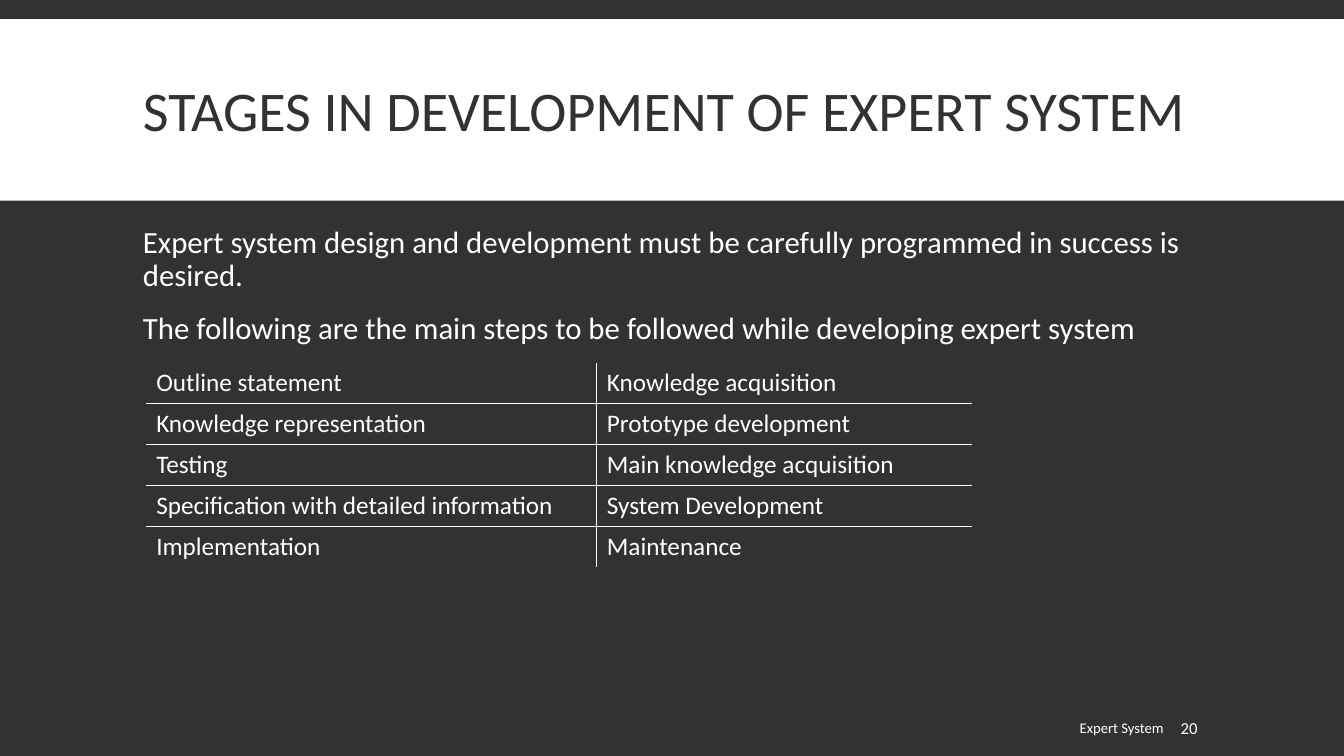
from lxml import etree
from pptx import Presentation
from pptx import util as u
from pptx.dml.color import RGBColor
from pptx.enum import shapes, text
from pptx.oxml.ns import qn

PX = 9144  # one hundredth of an inch
COLOURS = {"dark": "323232", "light": "FFFFFF"}
STAGES = [
    ("Outline statement", "Knowledge acquisition"),
    ("Knowledge representation", "Prototype development"),
    ("Testing", "Main knowledge acquisition"),
    ("Specification with detailed information", "System Development"),
    ("Implementation", "Maintenance"),
]


def px(*lengths):
    return [u.Emu(length * PX) for length in lengths]


def colour(name):
    return RGBColor.from_string(COLOURS[name])


def write(frame, *lines, size, ink="light", align=text.PP_ALIGN.LEFT,
          spacing=1.0, before=0, after=0):
    """Fill a text frame with one paragraph per line."""
    for index, line in enumerate(lines):
        para = frame.paragraphs[0] if index == 0 else frame.add_paragraph()
        para.alignment = align
        para.line_spacing = spacing
        para.space_before = u.Pt(before if index else 0)
        para.space_after = u.Pt(after)
        span = para.add_run()
        span.text = line
        span.font.name = "Calibri"
        span.font.size = u.Pt(size)
        span.font.color.rgb = colour(ink)


def set_border(cell, side, visible):
    """Draw or hide one side (L, R, T or B) of a cell."""
    line = etree.SubElement(cell._tc.get_or_add_tcPr(), qn("a:ln" + side), w=str(u.Pt(1)))
    if visible:
        fill = etree.SubElement(line, qn("a:solidFill"))
        etree.SubElement(fill, qn("a:srgbClr"), val=COLOURS["light"])
    else:
        etree.SubElement(line, qn("a:noFill"))


class SlideBuilder:
    def __init__(self, deck):
        self.slide = deck.slides.add_slide(deck.slide_layouts[6])
        background = self.slide.background.fill
        background.solid()
        background.fore_color.rgb = colour("dark")

    def band(self, *place):
        band = self.slide.shapes.add_shape(shapes.MSO_SHAPE.RECTANGLE, *px(*place))
        band.shadow.inherit = False
        band.fill.solid()
        band.fill.fore_color.rgb = colour("light")
        band.line.fill.background()

    def text(self, place, *lines, anchor=text.MSO_ANCHOR.MIDDLE, inset=10, **style):
        frame = self.slide.shapes.add_textbox(*px(*place)).text_frame
        frame.word_wrap = True
        frame.vertical_anchor = anchor
        frame.margin_left, = px(inset)
        write(frame, *lines, **style)

    def grid(self, place, rows, widths, size):
        """Add a table ruled only between its cells."""
        last_row, last_column = len(rows) - 1, len(widths) - 1
        table = self.slide.shapes.add_table(len(rows), len(widths), *px(*place)).table
        table.first_row = table.horz_banding = False
        for column, width in zip(table.columns, px(*widths)):
            column.width = width
        for r, row in enumerate(rows):
            for c, label in enumerate(row):
                cell = table.cell(r, c)
                inner = {"L": c > 0, "R": c < last_column, "T": r > 0, "B": r < last_row}
                for side, visible in inner.items():
                    set_border(cell, side, visible)
                cell.fill.background()
                write(cell.text_frame, label, size=size)


def main():
    deck = Presentation()
    deck.slide_width, deck.slide_height = px(1333, 750)
    page = SlideBuilder(deck)
    page.band(0, 19, 1333, 180)
    page.text((132, 31, 1070, 165), "STAGES IN DEVELOPMENT OF EXPERT SYSTEM",
              size=40, ink="dark", spacing=0.85)
    page.text((132, 220, 1070, 460),
              "Expert system design and development must be carefully programmed in success is desired.",
              "The following are the main steps to be followed while developing expert system",
              anchor=text.MSO_ANCHOR.TOP, size=22, spacing=0.9, before=12, after=2)
    page.grid((145, 360, 819, 203), STAGES, widths=(447, 372), size=18)
    page.text((612, 702, 552, 40), "Expert System", size=10.5, align=text.PP_ALIGN.RIGHT)
    page.text((1166, 702, 103, 40), "20", size=12, inset=5)
    deck.save("out.pptx")


if __name__ == "__main__":
    main()
